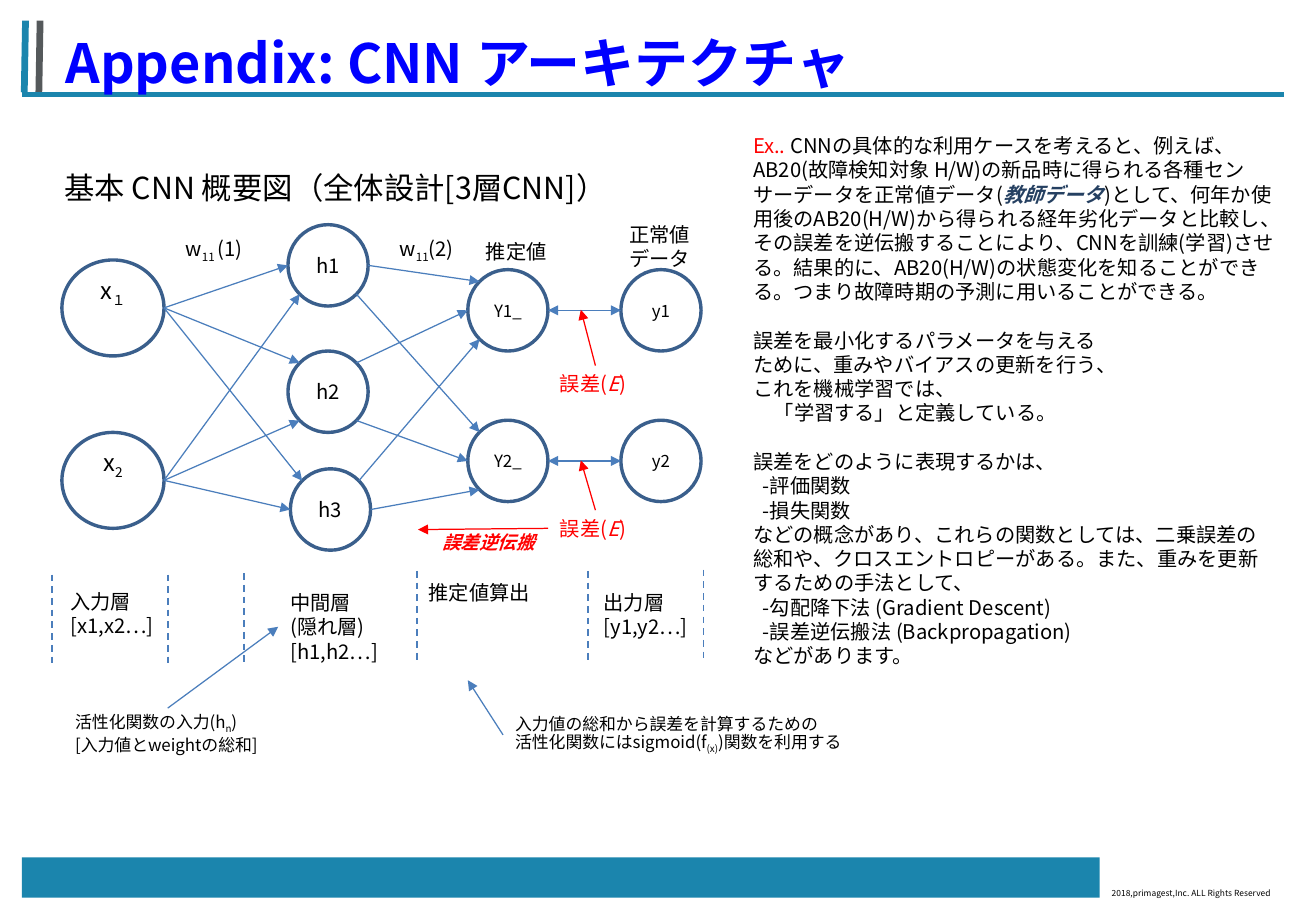
import math

import pptx
import pptx.dml.color
import pptx.enum.dml
import pptx.enum.shapes
import pptx.enum.text
import pptx.oxml
import pptx.util
from pptx.util import Inches

FONT = "Noto Sans CJK JP"
TEAL, BLUE, NAVY, RED, BLACK = "1B85AD", "4B7EBC", "3A5F8C", "FF0000", "000000"
SIDES = {"e": (1, 0), "w": (-1, 0), "ne": (1, -1), "se": (1, 1),
         "nw": (-1, -1), "sw": (-1, 1)}
NS = 'xmlns:a="http://schemas.openxmlformats.org/drawingml/2006/main"'


def color(code):
    return pptx.dml.color.RGBColor.from_string(code)


def element(tag, attrs=""):
    return pptx.oxml.parse_xml(f"<a:{tag} {NS} {attrs}/>")


def sub(text):
    return text, {"base": -25}


def write(shape, lines, size=12, ink=BLACK, bold=False, italic=False,
          center=False, middle=False, inset=(0.1, 0.05, 0.1, 0.05)):
    """Fill a shape; a line is a string, a list of runs, or a dict of runs, gap, indent."""
    frame = shape.text_frame
    frame.word_wrap = True
    anchor = pptx.enum.text.MSO_ANCHOR
    frame.vertical_anchor = anchor.MIDDLE if middle else anchor.TOP
    (frame.margin_left, frame.margin_top,
     frame.margin_right, frame.margin_bottom) = map(Inches, inset)
    for i, line in enumerate(lines):
        line = line if isinstance(line, dict) else {"runs": line}
        para = frame.add_paragraph() if i else frame.paragraphs[0]
        align = pptx.enum.text.PP_ALIGN
        para.alignment = align.CENTER if center else align.LEFT
        para.line_spacing = pptx.util.Pt(size * 1.2)
        if "gap" in line:
            para.space_before = pptx.util.Pt(line["gap"])
        if "indent" in line:
            para._p.get_or_add_pPr().set("marL", str(Inches(line["indent"])))
        runs = line["runs"]
        for part in [runs] if isinstance(runs, str) else runs:
            text, style = (part, {}) if isinstance(part, str) else part
            run = para.add_run()
            run.text = text
            font = run.font
            font.size, font.name = pptx.util.Pt(size), FONT
            font.bold = style.get("bold", bold)
            font.italic = style.get("italic", italic)
            font.color.rgb = color(style.get("ink", ink))
            props = run._r.get_or_add_rPr()
            props.append(element("ea", f'typeface="{FONT}"'))
            if "base" in style:
                props.set("baseline", str(style["base"] * 1000))


def label(slide, box, lines, **style):
    write(slide.shapes.add_textbox(*map(Inches, box)), lines, **style)


def stroke(slide, start, end, ink=BLUE, width=0.75, head=False, tail=False, dash=False):
    line = slide.shapes.add_connector(pptx.enum.shapes.MSO_CONNECTOR.STRAIGHT,
                                      *map(Inches, (*start, *end)))
    line.line.color.rgb = color(ink)
    line.line.width = pptx.util.Pt(width)
    if dash:
        line.line.dash_style = pptx.enum.dml.MSO_LINE.DASH
    for tag, shown in (("headEnd", head), ("tailEnd", tail)):
        if shown:
            line.line._get_or_add_ln().append(element(tag, 'type="triangle"'))
    line._element.spPr.append(element("effectLst"))


def node(slide, box, runs, size, inset=(0, 0, 0, 0)):
    oval = slide.shapes.add_shape(pptx.enum.shapes.MSO_SHAPE.OVAL, *map(Inches, box))
    oval.shadow.inherit = False
    oval.fill.background()
    oval.line.color.rgb = color(NAVY)
    oval.line.width = pptx.util.Pt(2)
    write(oval, [runs], size=size, center=True, middle=True, inset=inset)


def site(box, side):
    """Point on the rim of an oval, towards the given side."""
    x, y, w, h = box
    dx, dy = SIDES[side]
    norm = 2 * math.hypot(dx, dy)
    return x + w / 2 + dx * w / norm, y + h / 2 + dy * h / norm


def border(slide, box):
    x, y, w, h = box
    bar = slide.shapes.add_shape(pptx.enum.shapes.MSO_SHAPE.RECTANGLE,
                                 *map(Inches, (x, y + h - 0.33, 8.87, 0.33)))
    bar.shadow.inherit = False
    bar.fill.solid()
    bar.fill.fore_color.rgb = color(TEAL)
    bar.line.fill.background()
    label(slide, (x + 8.87, y + h - 0.13, 1.62, 0.19),
          ["2018,primagest,Inc. ALL Rights Reserved"], size=5, middle=True)
    for left, ink in ((0.02, TEAL), (0.14, "55595B")):
        stroke(slide, (x + left, y + 0.59), (x + left + 0.01, y), ink, 4)
    stroke(slide, (x, y + 0.61), (x + w, y + 0.61), TEAL, 2.75)
    label(slide, (x + 0.26, y + 0.02, 7.09, 0.64), ["Appendix: CNN アーキテクチャ"],
          size=32, ink="0000FF", bold=True)


def network(slide, left, top):
    """Ovals of the four layers and the arrows between them."""
    nodes = {}
    for name, x, y in (("h1", 1.97, 0.55), ("h2", 1.97, 1.59), ("h3", 1.99, 2.56),
                       ("Y1_", 3.45, 0.92), ("Y2_", 3.45, 2.16),
                       ("y1", 4.71, 0.92), ("y2", 4.71, 2.16)):
        nodes[name] = (left + x, top + y, 0.66, 0.67)
        node(slide, nodes[name], name, 12 if name[0] == "h" else 10)
    for name, digit, y in (("x1", "１", 0.84), ("x2", "2", 2.26)):
        nodes[name] = (left + 0.11, top + y, 0.84, 0.79)
        node(slide, nodes[name], ["x", sub(digit)], 14, (0, 0, 0, 0.23))
    links = """x1 e h1 w,x1 e h2 nw,x1 e h3 nw,x2 e h1 sw,x2 e h2 sw,x2 e h3 w,
        h1 e Y1_ nw,h1 se Y2_ nw,h2 ne Y1_ w,h2 se Y2_ w,h3 ne Y1_ sw,h3 e Y2_ sw,
        Y1_ e y1 w,Y2_ e y2 w"""
    for link in links.split(","):
        a, out, b, into = link.split()
        stroke(slide, site(nodes[a], out), site(nodes[b], into),
               head=a[0] == "Y", tail=True)


def diagram(slide, box):
    left, top = box[:2]
    network(slide, left, top)
    for x, y in ((0.03, 3.43), (0.98, 3.43), (1.61, 3.42),
                 (3.03, 3.4), (4.44, 3.4), (5.39, 3.39)):
        stroke(slide, (left + x, top + y), (left + x, top + y + 0.75), width=1, dash=True)
    for x, y, to_x, to_y, ink in ((4.5, 2.9, 4.38, 2.49, RED), (4.5, 1.71, 4.38, 1.25, RED),
                                  (4.11, 3.05, 3.04, 3.06, RED),
                                  (3.74, 4.75, 3.45, 4.3, BLUE),
                                  (0.98, 4.53, 1.89, 3.86, BLUE)):
        stroke(slide, (left + x, top + y), (left + to_x, top + to_y), ink, tail=True)
    error = [["誤差(", ("E", {"italic": True}), ")"]]
    red = {"ink": RED}
    small = {"size": 10}
    labels = (
        (0.03, 0.04, 4.81, 0.4, ["基本 CNN 概要図（全体設計[3層CNN]）"], {"size": 18}),
        (1.03, 0.62, 0.75, 0.3, [["w", sub("11 "), "(1)"]], {}),
        (2.79, 0.62, 0.7, 0.3, [["w", sub("11"), "(2)"]], {}),
        (3.5, 0.62, 0.73, 0.3, ["推定値"], {}),
        (4.68, 0.48, 0.73, 0.5, ["正常値", "データ"], {}),
        (4.11, 1.71, 0.77, 0.5, error, red),
        (4.11, 2.9, 0.77, 0.5, error, red),
        (0.08, 3.5, 0.95, 0.5, ["入力層", "[x1,x2…]"], {}),
        (1.89, 3.51, 0.98, 0.71, ["中間層", "(隠れ層)", "[h1,h2…]"], {}),
        (3.03, 3.43, 1.06, 0.3, ["推定値算出"], {}),
        (4.47, 3.51, 0.95, 0.5, ["出力層", "[y1,y2…]"], {}),
        (0.12, 4.53, 1.72, 0.64,
         [["活性化関数の入力(h", sub("n"), ")"], "[入力値とweightの総和]"], small),
        (3.74, 4.53, 2.95, 0.64,
         ["入力値の総和から誤差を計算するための",
          ["活性化関数にはsigmoid(f", sub("(x)"), ")関数を利用する"]], small),
        (3.14, 3.02, 1, 0.29, ["誤差逆伝搬"],
         {"size": 11, "ink": RED, "bold": True, "italic": True}),
    )
    for x, y, w, h, lines, style in labels:
        label(slide, (left + x, top + y, w, h), lines, **style)


def notes(slide, box):
    def item(text):
        return {"runs": text, "indent": 0.08}

    label(slide, box, [
        [("Ex.. ", {"ink": RED}),
         "CNNの具体的な利用ケースを考えると、例えば、AB20(故障検知対象 H/W)の新品時に"
         "得られる各種センサーデータを正常値データ(",
         ("教師データ", {"ink": "254061", "bold": True, "italic": True}),
         ")として、何年か使用後のAB20(H/W)から得られる経年劣化データと比較し、"
         "その誤差を逆伝搬することにより、CNNを訓練(学習)させる。結果的に、"
         "AB20(H/W)の状態変化を知ることができる。"
         "つまり故障時期の予測に用いることができる。"],
        {"runs": "誤差を最小化するパラメータを与える", "gap": 14.4},
        "ために、重みやバイアスの更新を行う、",
        "これを機械学習では、",
        {"runs": "「学習する」と定義している。", "indent": 0.17},
        {"runs": "誤差をどのように表現するかは、", "gap": 14.4},
        item("-評価関数"),
        item("-損失関数"),
        "などの概念があり、これらの関数としては、二乗誤差の総和や、"
        "クロスエントロピーがある。また、重みを更新するための手法として、",
        item("-勾配降下法 (Gradient Descent)"),
        item("-誤差逆伝搬法 (Backpropagation)"),
        "などがあります。"])


def main():
    deck = pptx.Presentation()
    deck.slide_width, deck.slide_height = Inches(10.83), Inches(7.5)
    slide = deck.slides.add_slide(deck.slide_layouts[6])
    border(slide, (0.18, 0.17, 10.39, 7.22))
    diagram(slide, (0.4, 1.3, 5.4, 5.2))
    notes(slide, (6.1, 1.05, 4.51, 4.54))
    deck.save("out.pptx")


if __name__ == "__main__":
    main()
